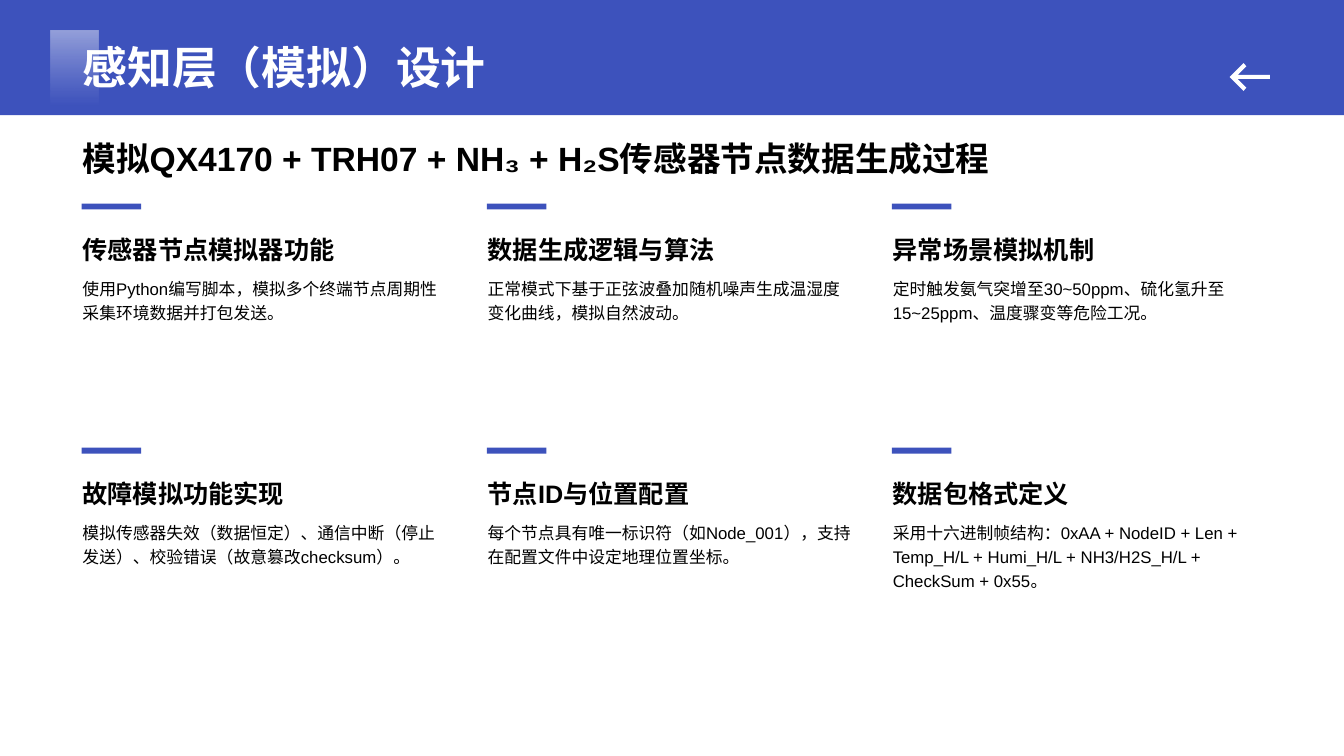
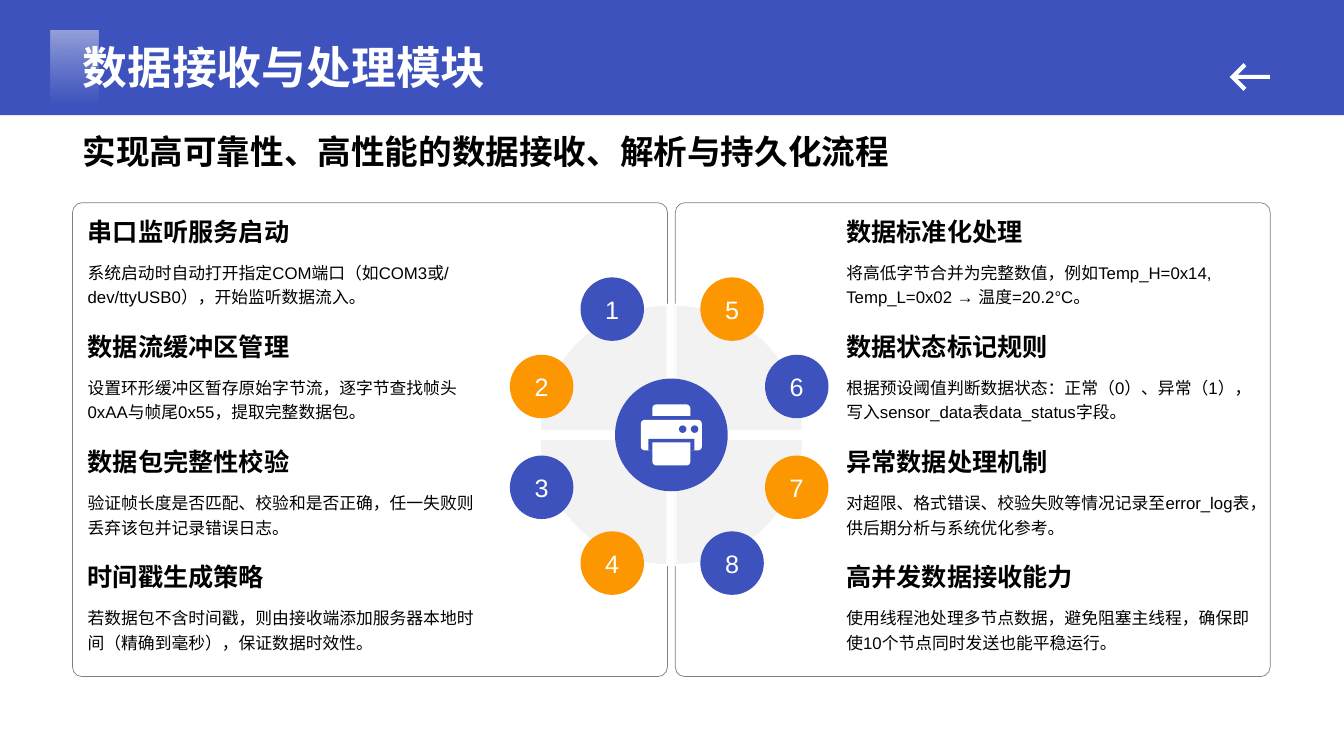
from dataclasses import dataclass
from math import cos, pi, sin

from lxml.etree import SubElement
from pptx import Presentation
from pptx.dml.color import RGBColor
from pptx.enum.shapes import MSO_SHAPE
from pptx.enum.text import MSO_ANCHOR, PP_ALIGN
from pptx.oxml.ns import qn
from pptx.util import Cm, Pt

# Content
SENSING = {
    "title": "感知层（模拟）设计",
    "subtitle": "模拟QX4170 + TRH07 + NH₃ + H₂S传感器节点数据生成过程",
    "topics": [
        ("传感器节点模拟器功能", "使用Python编写脚本，模拟多个终端节点周期性采集环境数据并打包发送。"),
        ("数据生成逻辑与算法", "正常模式下基于正弦波叠加随机噪声生成温湿度变化曲线，模拟自然波动。"),
        ("异常场景模拟机制", "定时触发氨气突增至30~50ppm、硫化氢升至15~25ppm、温度骤变等危险工况。"),
        ("故障模拟功能实现", "模拟传感器失效（数据恒定）、通信中断（停止发送）、校验错误（故意篡改checksum）。"),
        ("节点ID与位置配置", "每个节点具有唯一标识符（如Node_001），支持在配置文件中设定地理位置坐标。"),
        ("数据包格式定义", "采用十六进制帧结构：0xAA + NodeID + Len + Temp_H/L + Humi_H/L + "
                    "NH3/H2S_H/L + CheckSum + 0x55。"),
    ],
}
RECEIVING = {
    "title": "数据接收与处理模块",
    "subtitle": "实现高可靠性、高性能的数据接收、解析与持久化流程",
    "topics": [
        ("串口监听服务启动", "系统启动时自动打开指定COM端口（如COM3或/dev/ttyUSB0），开始监听数据流入。"),
        ("数据流缓冲区管理", "设置环形缓冲区暂存原始字节流，逐字节查找帧头0xAA与帧尾0x55，提取完整数据包。"),
        ("数据包完整性校验", "验证帧长度是否匹配、校验和是否正确，任一失败则丢弃该包并记录错误日志。"),
        ("时间戳生成策略", "若数据包不含时间戳，则由接收端添加服务器本地时间（精确到毫秒），保证数据时效性。"),
        ("数据标准化处理", "将高低字节合并为完整数值，例如Temp_H=0x14, Temp_L=0x02 → 温度=20.2°C。"),
        ("数据状态标记规则", "根据预设阈值判断数据状态：正常（0）、异常（1），写入sensor_data表data_status字段。"),
        ("异常数据处理机制", "对超限、格式错误、校验失败等情况记录至error_log表，供后期分析与系统优化参考。"),
        ("高并发数据接收能力", "使用线程池处理多节点数据，避免阻塞主线程，确保即使10个节点同时发送也能平稳运行。"),
    ],
}


# Theme
@dataclass(frozen=True)
class Theme:
    font: str = "Arial"
    blue: RGBColor = RGBColor(0x3D, 0x52, 0xBC)
    orange: RGBColor = RGBColor(0xFC, 0x97, 0x02)
    pale: RGBColor = RGBColor(0xD8, 0xDC, 0xF2)
    grey: RGBColor = RGBColor(0xF2, 0xF2, 0xF2)
    white: RGBColor = RGBColor(0xFF, 0xFF, 0xFF)
    black: RGBColor = RGBColor(0, 0, 0)
    title: int = 32
    subtitle: int = 24
    heading: int = 18
    body: int = 12


THEME = Theme()
WIDTH, HEIGHT = 33.87, 19.05
LEFT = 1.83


# Drawing helpers, all lengths in centimetres
def paint(shape, fill=None, line=None, weight=1.5):
    shape.shadow.inherit = False
    if fill is None:
        shape.fill.background()
    else:
        shape.fill.solid()
        shape.fill.fore_color.rgb = fill
    if line is None:
        shape.line.fill.background()
    else:
        shape.line.color.rgb = line
        shape.line.width = Pt(weight)
    return shape


def add_preset(slide, preset, box, fill=None, line=None, weight=1.5, corners=()):
    shape = slide.shapes.add_shape(preset, *map(Cm, box))
    for index, corner in enumerate(corners):
        shape.adjustments[index] = corner
    return paint(shape, fill, line, weight)


def add_outline(slide, points, fill, line=None):
    start, *rest = [(Cm(x), Cm(y)) for x, y in points]
    builder = slide.shapes.build_freeform(*start)
    builder.add_line_segments(rest)
    return paint(builder.convert_to_shape(), fill, line)


def set_alphas(shape, *percents):
    """Set the opacity of the shape's colours, in their order."""
    for rgb, percent in zip(shape.element.spPr.iter(qn("a:srgbClr")), percents):
        SubElement(rgb, qn("a:alpha")).set("val", str(percent * 1000))


def write(shape, text, size, color=THEME.black, bold=False,
          anchor=MSO_ANCHOR.TOP, align=PP_ALIGN.LEFT, spacing=None, wrap=True):
    frame = shape.text_frame
    frame.word_wrap = wrap
    frame.vertical_anchor = anchor
    paragraph = frame.paragraphs[0]
    paragraph.text = text
    paragraph.alignment = align
    paragraph.line_spacing = spacing
    font = paragraph.font
    font.name, font.size, font.bold = THEME.font, Pt(size), bold
    font.color.rgb = color


def add_text(slide, box, text, size, **style):
    write(slide.shapes.add_textbox(*map(Cm, box)), text, size, **style)


def add_topic(slide, topic, x, y, width, heading_height, body_height, anchor):
    heading, body = topic
    add_text(slide, (x, y, width, heading_height), heading, THEME.heading,
             bold=True, anchor=anchor)
    add_text(slide, (x, y + heading_height, width, body_height), body,
             THEME.body, spacing=1.2)


# Shared header: band, fading tile, back arrow, title and subtitle
def start_slide(deck, content, subtitle_height, subtitle_spacing=None):
    slide = deck.slides.add_slide(deck.slide_layouts[6])
    add_preset(slide, MSO_SHAPE.RECTANGLE, (0, 0, WIDTH, 2.9), THEME.blue)

    tile = add_preset(slide, MSO_SHAPE.RECTANGLE, (1.27, 0.76, 1.22, 2.11))
    tile.fill.gradient()
    tile.fill.gradient_angle = 270
    fade = [(0, THEME.white), (0.9, THEME.pale)]
    for stop, (position, color) in zip(tile.fill.gradient_stops, fade):
        stop.position = position
        stop.color.rgb = color
    set_alphas(tile, 45, 0)

    middle = 1.94
    upper = [(30.99, 0), (31.34, 0.35), (31.41, 0.27), (31.19, 0.05), (32, 0.05)]
    add_outline(slide, [(x, middle - dy) for x, dy in upper]
                + [(x, middle + dy) for x, dy in upper[:0:-1]], THEME.white)

    add_text(slide, (LEFT, 0.79, 29, 1.7), content["title"], THEME.title,
             color=THEME.white, bold=True, anchor=MSO_ANCHOR.BOTTOM)
    add_text(slide, (LEFT, 3.15, 30.18, subtitle_height), content["subtitle"],
             THEME.subtitle, bold=True, anchor=MSO_ANCHOR.MIDDLE,
             spacing=subtitle_spacing)
    return slide


# Slide 1: three by two grid of topics
def build_sensing(deck):
    slide = start_slide(deck, SENSING, 1.45, 1.2)
    for index, topic in enumerate(SENSING["topics"]):
        row, column = divmod(index, 3)
        x, y = LEFT + 10.21 * column, 5.13 + 6.15 * row
        add_preset(slide, MSO_SHAPE.RECTANGLE, (x + 0.23, y, 1.5, 0.15), THEME.blue)
        add_topic(slide, topic, x, y + 0.15, 9.73, 1.51, 4.09, MSO_ANCHOR.BOTTOM)


# Slide 2: wheel with a printer in its hub
def add_wheel(slide, center_x, center_y):
    gap, radius_x, radius_y, steps = 0.1, 3.22, 3.18, 24
    angles = [pi / 2 * step / steps for step in range(steps + 1)]
    for side, level in [(-1, -1), (1, -1), (1, 1), (-1, 1)]:
        corner_x, corner_y = center_x + side * gap, center_y + level * gap
        rim = [(corner_x + side * radius_x * cos(a),
                corner_y + level * radius_y * sin(a)) for a in angles]
        add_outline(slide, [(corner_x, corner_y)] + rim, THEME.grey, THEME.white)

    hub = 2.84
    add_preset(slide, MSO_SHAPE.OVAL,
               (center_x - hub / 2, center_y - hub / 2, hub, hub), THEME.blue)

    tray = MSO_SHAPE.ROUND_2_SAME_RECTANGLE
    printer = [  # preset, offset from centre, width, height, fill, corners
        (tray, -0.48, -0.77, 0.96, 0.29, THEME.white, (0.35, 0)),
        (MSO_SHAPE.ROUNDED_RECTANGLE, -0.77, -0.38, 1.54, 0.77, THEME.white, (0.13,)),
        (MSO_SHAPE.RECTANGLE, -0.58, 0.1, 1.16, 0.3, THEME.blue, ()),
        (tray, -0.48, 0.19, 0.96, 0.58, THEME.white, (0, 0.17)),
        (MSO_SHAPE.OVAL, 0.19, -0.24, 0.19, 0.19, THEME.blue, ()),
        (MSO_SHAPE.OVAL, 0.49, -0.24, 0.19, 0.19, THEME.blue, ()),
    ]
    for preset, dx, dy, width, height, fill, corners in printer:
        add_preset(slide, preset, (center_x + dx, center_y + dy, width, height),
                   fill, corners=corners)


def build_receiving(deck):
    slide = start_slide(deck, RECEIVING, 1.32)
    for x in (LEFT, 17.02):
        panel = add_preset(slide, MSO_SHAPE.ROUNDED_RECTANGLE, (x, 5.11, 14.99, 11.94),
                           line=THEME.black, weight=0.5, corners=(0.02,))
        set_alphas(panel, 50)

    add_wheel(slide, 16.92, 10.96)

    badge = 1.6
    badge_rows = (7.79, 9.74, 12.28, 14.19)
    columns = [  # text left, text width, badge centres
        (1.96, 10.41, (15.43, 13.65, 13.65, 15.43)),
        (21.08, 10.74, (18.45, 20.08, 20.08, 18.45)),
    ]
    for index, topic in enumerate(RECEIVING["topics"]):
        side, row = divmod(index, 4)
        x, width, centers = columns[side]
        add_topic(slide, topic, x, 5.26 + 2.9 * row, width, 1.14, 1.55,
                  MSO_ANCHOR.MIDDLE)
        fill = (THEME.blue, THEME.orange)[(side + row) % 2]
        number = add_preset(
            slide, MSO_SHAPE.OVAL,
            (centers[row] - badge / 2, badge_rows[row] - badge / 2, badge, badge), fill)
        write(number, str(index + 1), THEME.heading, color=THEME.white,
              anchor=MSO_ANCHOR.MIDDLE, align=PP_ALIGN.CENTER, wrap=False)


def main():
    deck = Presentation()
    deck.slide_width, deck.slide_height = Cm(WIDTH), Cm(HEIGHT)
    build_sensing(deck)
    build_receiving(deck)
    deck.save("out.pptx")


if __name__ == "__main__":
    main()
